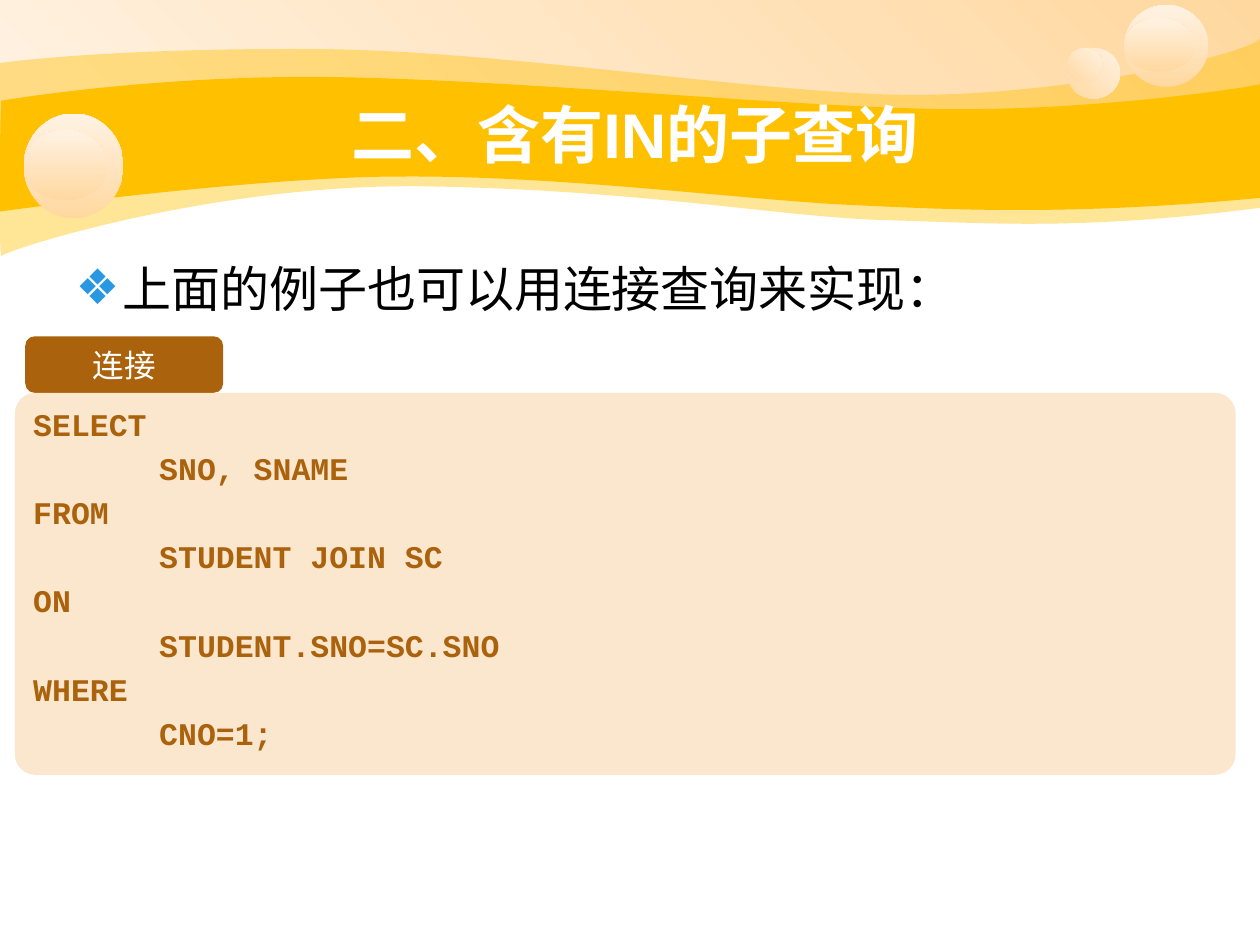
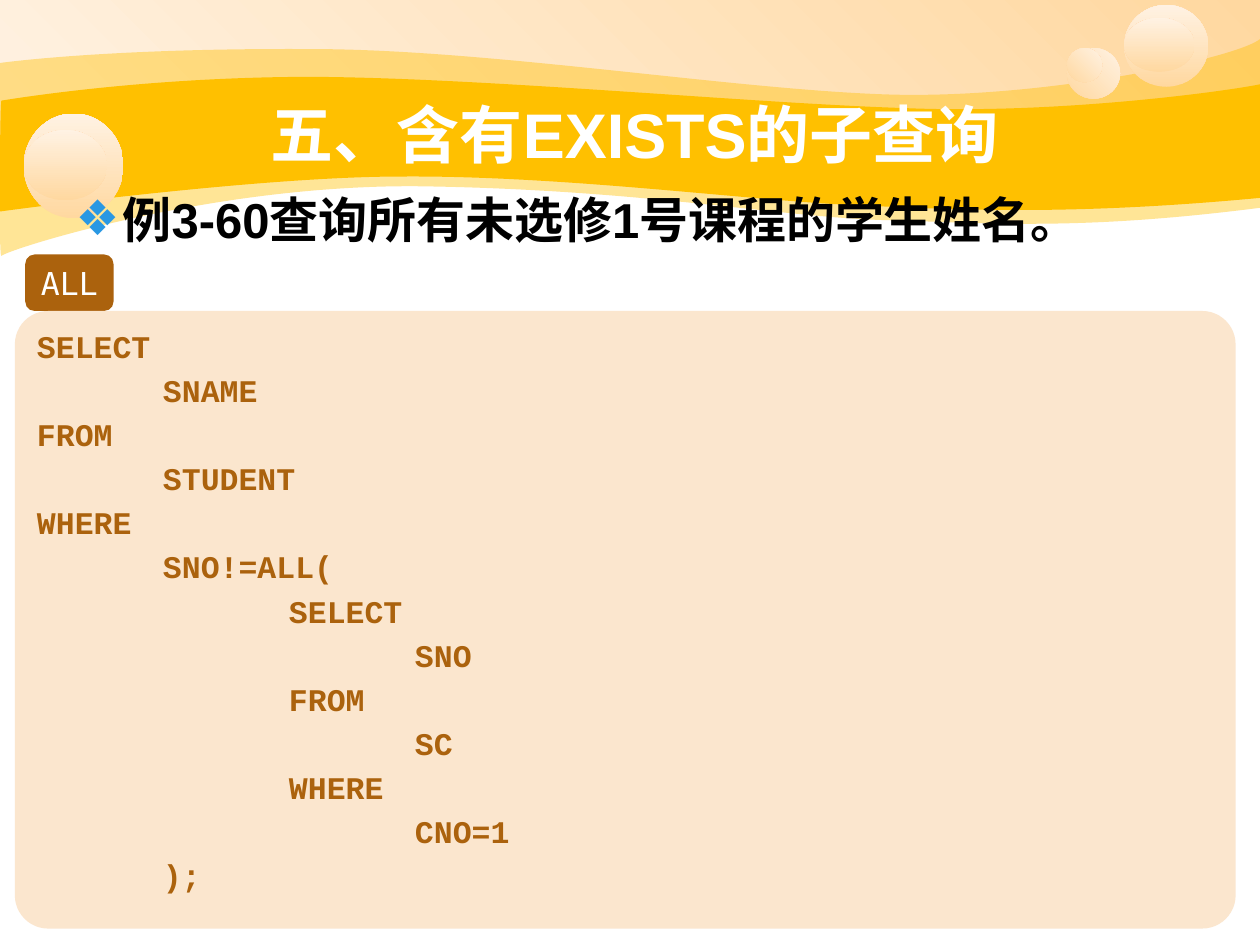
import pptx
import pptx.util
import pptx.dml.color
import pptx.enum.shapes
import pptx.enum.text
import pptx.oxml.ns
from lxml import etree

Cm, Pt = pptx.util.Cm, pptx.util.Pt
RGBColor = pptx.dml.color.RGBColor
SHAPE = pptx.enum.shapes.MSO_SHAPE
ALIGN = pptx.enum.text.PP_ALIGN
ANCHOR = pptx.enum.text.MSO_ANCHOR
FIT = pptx.enum.text.MSO_AUTO_SIZE
qn = pptx.oxml.ns.qn

GOLD = RGBColor(0xFF, 0xC0, 0x00)
PEACH = RGBColor(0xFF, 0xD8, 0xA0)
CREAM = RGBColor(0xFF, 0xF2, 0xE3)
BROWN = RGBColor(0xAB, 0x62, 0x0D)
SAND = RGBColor(0xFB, 0xE6, 0xCE)
BLUE = RGBColor(0x29, 0x98, 0xE3)
WHITE = RGBColor(0xFF, 0xFF, 0xFF)
BLACK = RGBColor(0x00, 0x00, 0x00)

JOIN = """SELECT
    SNO, SNAME
FROM
    STUDENT JOIN SC
ON
    STUDENT.SNO=SC.SNO
WHERE
    CNO=1;"""

ALL = """SELECT
    SNAME
FROM
    STUDENT
WHERE
    SNO!=ALL(
        SELECT
            SNO
        FROM
            SC
        WHERE
            CNO=1
    );"""

# title, point, point top, point bold, line spacing, tab, tab top, tab width, code, code height
PAGES = [
    ("二、含有IN的子查询", "上面的例子也可以用连接查询来实现：", 5.08, False, 1.0,
     "连接", 6.78, 3.99, JOIN, 7.7),
    ("五、含有EXISTS的子查询", "例3-60查询所有未选修1号课程的学生姓名。", 3.33, True, 1.3,
     "ALL", 5.13, 1.78, ALL, 12.45),
]

# Wave outlines (upper edge, then lower edge and left side) and opacity;
# each part is a start point, then three points for each curve
WAVES = [
    ([(0, 1.27), (0.61, 1.19), (2.72, 0.97), (6.27, 0.99), (9.8, 0.99),
      (14.6, 1.78), (17.75, 1.9), (20.88, 2.03), (24.89, 1.19), (25.4, 0.79)],
     [(25.4, 4.19), (21.79, 4.65), (20.02, 4.5), (17.91, 4.44), (15.8, 4.39),
      (13.08, 3.84), (8.71, 3.76), (4.37, 3.66), (0.1, 5.05), (0.03, 5.16),
      (-0.03, 5.28), (0, 1.9), (0, 1.27)], 41),
    ([(0.03, 2.03), (0.05, 2.03), (2.79, 1.55), (6.3, 1.55), (9.8, 1.57),
      (15.11, 2.08), (18.24, 2.18), (21.36, 2.31), (24.79, 1.83), (25.4, 1.7)],
     [(25.4, 3.99), (21.67, 4.34), (19.43, 4.24), (17.32, 4.14), (15.21, 4.06),
      (11.35, 3.53), (8.05, 3.56), (5.16, 3.56), (-0.05, 4.27), (-0.03, 4.27),
      (0, 4.27), (0, 2.03), (0.03, 2.03)], 100),
]

# left, top, width, height, gradient angle
BUBBLES = [
    (21.51, 0.97, 1.07, 1.02, 45), (21.51, 0.97, 0.71, 0.69, 45),
    (22.66, 0.1, 1.7, 1.65, 90), (22.66, 0.36, 1.42, 1.09, 90),
    (0.48, 2.29, 2.01, 2.11, 90), (0.48, 2.62, 1.68, 1.42, 90),
]


def add(slide, kind, left, top, wide, high, fill=None, angle=0):
    """Add a plain shape, solid when a fill is given, else peach to cream."""
    shape = slide.shapes.add_shape(kind, Cm(left), Cm(top), Cm(wide), Cm(high))
    shape.shadow.inherit = False
    shape.line.fill.background()
    if fill is not None:
        shape.fill.solid()
        shape.fill.fore_color.rgb = fill
    else:
        shape.fill.gradient()
        shape.fill.gradient_angle = angle
        for stop, color in zip(shape.fill.gradient_stops, (PEACH, CREAM)):
            stop.color.rgb = color
    return shape


def style(para, face, size, color, bold=False, align=ALIGN.LEFT):
    para.alignment = align
    para.font.name = face
    para.font.size = Pt(size)
    para.font.bold = bold
    para.font.color.rgb = color


deck = pptx.Presentation()
deck.slide_width, deck.slide_height = Cm(25.4), Cm(19.05)
layout = deck.slide_layouts[1]
slides = [deck.slides.add_slide(layout) for page in PAGES]

# Shared backdrop: band, waves and bubbles
first = slides[0]
art = [add(first, SHAPE.RECTANGLE, 0, 0, 25.4, 2.92, angle=225)]
for upper, lower, alpha in WAVES:
    dots = [(Cm(x), Cm(y)) for x, y in upper + lower]
    pen = first.shapes.build_freeform(*dots[0])
    pen.add_line_segments(dots[1:], close=True)
    wave = pen.convert_to_shape()
    wave.shadow.inherit = False
    wave.line.fill.background()
    wave.fill.solid()
    wave.fill.fore_color.rgb = GOLD
    if alpha < 100:
        tint = wave.element.spPr.find(qn("a:solidFill")).find(qn("a:srgbClr"))
        etree.SubElement(tint, qn("a:alpha"), val=str(alpha * 1000))
    # Bend every three segments into one curve; segment 9 is the right side
    lines = list(wave.element.iter(qn("a:lnTo")))
    for n in (0, 3, 6, 10, 13, 16, 19):
        curve = etree.Element(qn("a:cubicBezTo"))
        lines[n].addprevious(curve)
        for line in lines[n:n + 3]:
            curve.append(line[0])
            line.getparent().remove(line)
    art.append(wave)
for left, top, wide, high, angle in BUBBLES:
    art.append(add(first, SHAPE.OVAL, left, top, wide, high, angle=angle))

# Move the backdrop to the layout, behind its placeholders
for n, shape in enumerate(art):
    shape.element.nvSpPr.cNvPr.set("id", str(100 + n))
    layout.shapes.element.insert(2 + n, shape.element)

for slide, page in zip(slides, PAGES):
    head, point, top, bold, space, tab, tabtop, tabwide, code, high = page

    # Title
    title = slide.shapes.title
    title.left, title.top, title.width, title.height = Cm(2.54), Cm(1.91), Cm(20.52), Cm(1.57)
    frame = title.text_frame
    frame.text = head
    frame.auto_size = FIT.NONE
    frame.vertical_anchor = ANCHOR.MIDDLE
    style(frame.paragraphs[0], "Arial", 36, WHITE, True, ALIGN.CENTER)

    # Bulleted point
    body = slide.placeholders[1]
    body.left, body.top, body.width, body.height = Cm(1.27), Cm(top), Cm(22.86), Cm(12.5)
    body.text_frame.text = point
    body.text_frame.auto_size = FIT.NONE
    para = body.text_frame.paragraphs[0]
    props = para._p.get_or_add_pPr()
    props.set("marL", str(Cm(0.95)))
    props.set("indent", str(-Cm(0.95)))
    tint = etree.SubElement(props, qn("a:buClr"))
    etree.SubElement(tint, qn("a:srgbClr"), val=str(BLUE))
    etree.SubElement(props, qn("a:buChar"), char="❖")
    para.space_before = Pt(0)
    para.line_spacing = space
    style(para, "Arial", 28, BLACK, bold)

    # Label tab
    label = add(slide, SHAPE.ROUNDED_RECTANGLE, 0.51, tabtop, tabwide, 1.14, BROWN)
    frame = label.text_frame
    frame.text = tab
    frame.word_wrap = False
    frame.vertical_anchor = ANCHOR.MIDDLE
    style(frame.paragraphs[0], "DejaVu Sans Mono", 18, WHITE, align=ALIGN.CENTER)

    # Code panel, indented by tab stops
    panel = add(slide, SHAPE.ROUNDED_RECTANGLE, 0.3, tabtop + 1.14, 24.61, high, SAND)
    panel.adjustments[0] = 0.054
    frame = panel.text_frame
    frame.text = code.replace("    ", "\t")
    frame.word_wrap = True
    frame.vertical_anchor = ANCHOR.TOP
    for n, para in enumerate(frame.paragraphs):
        stops = etree.SubElement(para._p.get_or_add_pPr(), qn("a:tabLst"))
        for k in (1, 2, 3):
            etree.SubElement(stops, qn("a:tab"), pos=str(Cm(2.54 * k)), algn="l")
        para.space_before = Pt(3.6 if n else 0)
        style(para, "Courier New", 18, BROWN, True)

deck.save("out.pptx")
